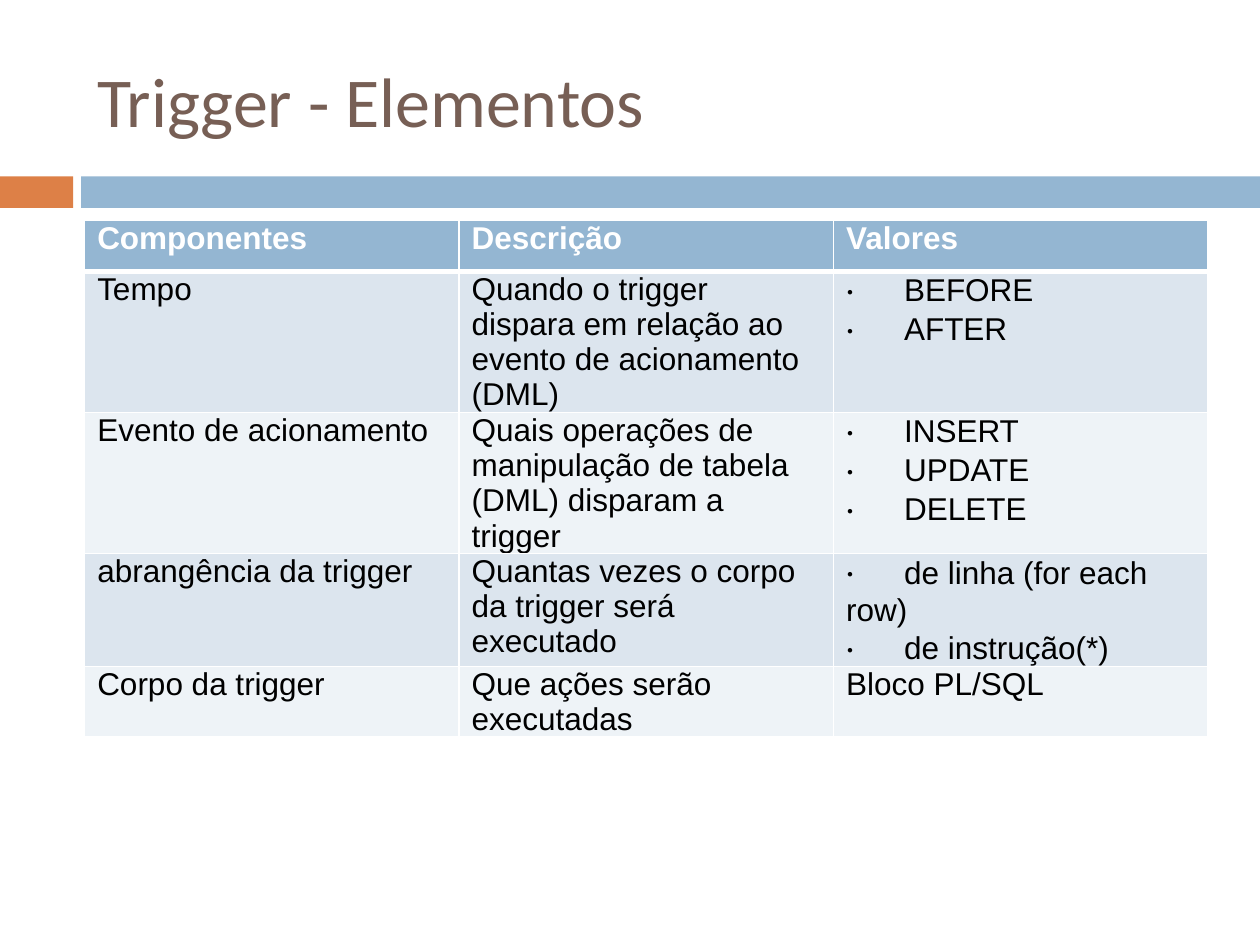
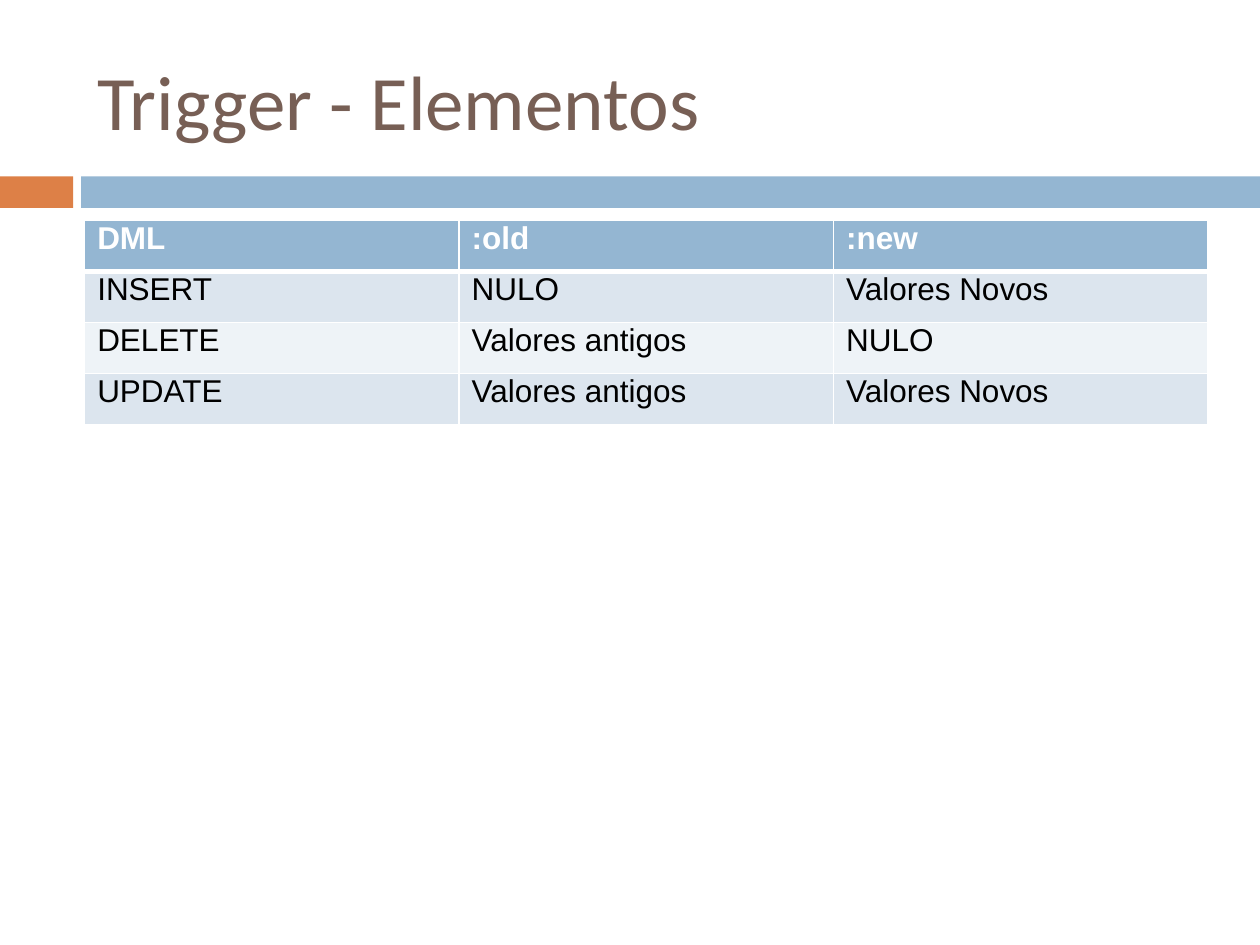
"""Build two slides that tabulate the elements of a database trigger."""
from lxml import etree
from pptx import Presentation
from pptx import util as u
from pptx.dml.color import RGBColor
from pptx.enum import shapes, text
from pptx.oxml import ns

COLUMNS, ROWS = 100, 75
LEFT, WIDTH = 6.72, 89.15
BAND_TOP, BAND_HEIGHT = 14, 2.5
BLUE_BAND_LEFT = 6.45
TABLE_TOP, ROW_HEIGHT = 17.5, 4.05
BULLET_TAB = u.Inches(0.46)
WHITE, BLACK, BROWN = "FFFFFF", "000000", "775F55"
BLUE, ORANGE = "94B6D2", "DD8047"
STRIPES = ("DCE5EE", "EEF3F7")

ELEMENTS = [
    ("Componentes", "Descrição", "Valores"),
    ("Tempo", "Quando o trigger dispara em relação ao evento de acionamento (DML)",
     ["BEFORE", "AFTER"]),
    ("Evento de acionamento",
     "Quais operações de manipulação de tabela (DML) disparam a trigger",
     ["INSERT", "UPDATE", "DELETE"]),
    ("abrangência da trigger", "Quantas vezes o corpo da trigger será executado",
     ["de linha (for each row)", "de instrução(*)"]),
    ("Corpo da trigger", "Que ações serão executadas", "Bloco PL/SQL"),
]
ROW_VALUES = [
    ("DML", ":old", ":new"),
    ("INSERT", "NULO", "Valores Novos"),
    ("DELETE", "Valores antigos", "NULO"),
    ("UPDATE", "Valores antigos", "Valores Novos"),
]


def paint(target, color):
    target.solid()
    target.fore_color.rgb = RGBColor.from_string(color)


def add_element(parent, tag, **attributes):
    values = {name: str(value) for name, value in attributes.items()}
    return etree.SubElement(parent, ns.qn(tag), values)


def add_bullet(paragraph):
    properties = paragraph._p.get_or_add_pPr()
    properties.set("marL", "0")
    properties.set("indent", "0")
    add_element(properties, "a:buFont", typeface="Calibri")
    add_element(properties, "a:buChar", char="·")
    add_element(add_element(properties, "a:tabLst"), "a:tab", pos=BULLET_TAB, algn="l")
    paragraph.line_spacing = 1.05


def write(paragraph, words, size=18, font="Arial", color=BLACK, bold=False, bullet=False):
    if bullet:
        add_bullet(paragraph)
    run = paragraph.add_run()
    run.text = f"\t{words}" if bullet else words
    run.font.size = u.Pt(size)
    run.font.name = font
    run.font.bold = bold
    run.font.color.rgb = RGBColor.from_string(color)


class Deck:
    """Holds the shared style and the current slide."""

    def __init__(self):
        self.presentation = Presentation()
        self.presentation.slide_width = u.Inches(10)
        self.presentation.slide_height = u.Inches(7.5)
        self.layout = self.presentation.slide_layouts.get_by_name("Title Only")
        self.slide = None

    def box(self, left, top, width, height):
        column = self.presentation.slide_width / COLUMNS
        row = self.presentation.slide_height / ROWS
        return [u.Emu(round(share)) for share in
                (left * column, top * row, width * column, height * row)]

    def add_slide(self, title, size):
        self.slide = self.presentation.slides.add_slide(self.layout)
        shape = self.slide.shapes.title
        shape.left, shape.top, shape.width, shape.height = self.box(LEFT, 2.5, WIDTH, 10.8)
        frame = shape.text_frame
        frame.auto_size = text.MSO_AUTO_SIZE.NONE
        frame.vertical_anchor = text.MSO_ANCHOR.MIDDLE
        paragraph = frame.paragraphs[0]
        paragraph.alignment = text.PP_ALIGN.LEFT
        write(paragraph, title, size=size, font="Calibri", color=BROWN)

    def add_layout_band(self, left, width, color):
        shape = self.slide.shapes.add_shape(
            shapes.MSO_SHAPE.RECTANGLE, *self.box(left, BAND_TOP, width, BAND_HEIGHT))
        shape.shadow.inherit = False
        paint(shape.fill, color)
        shape.line.fill.background()
        tree = self.layout.shapes.element
        shape.element.nvSpPr.cNvPr.id = 20 + len(tree)
        tree.append(shape.element)

    def add_table(self, rows):
        frame = self.slide.shapes.add_table(
            len(rows), len(rows[0]),
            *self.box(LEFT, TABLE_TOP, WIDTH, ROW_HEIGHT * len(rows)))
        for row_index, row in enumerate(rows):
            for column_index, content in enumerate(row):
                cell = frame.table.cell(row_index, column_index)
                self.fill_cell(cell, content, row_index)

    def fill_cell(self, cell, content, row_index):
        header = row_index == 0
        cell.margin_left, cell.margin_right = u.Inches(0.1), u.Inches(0.12)
        cell.margin_top = cell.margin_bottom = 0
        bulleted = isinstance(content, list)
        for index, words in enumerate(content if bulleted else [content]):
            frame = cell.text_frame
            paragraph = frame.add_paragraph() if index else frame.paragraphs[0]
            write(paragraph, words, color=WHITE if header else BLACK,
                  bold=header, bullet=bulleted)
            if index:
                paragraph.space_before = u.Pt(1)
        self.add_borders(cell, top=3 if row_index == 1 else 1, bottom=3 if header else 1)
        paint(cell.fill, BLUE if header else STRIPES[(row_index - 1) % 2])

    def add_borders(self, cell, top, bottom):
        properties = cell._tc.get_or_add_tcPr()
        for side, points in (("L", 1), ("R", 1), ("T", top), ("B", bottom)):
            line = add_element(properties, f"a:ln{side}", w=u.Pt(points))
            add_element(add_element(line, "a:solidFill"), "a:srgbClr", val=WHITE)


def main():
    deck = Deck()
    deck.add_slide("Trigger - Elementos", size=40)
    deck.add_layout_band(0, 5.8, ORANGE)
    deck.add_layout_band(BLUE_BAND_LEFT, COLUMNS - BLUE_BAND_LEFT, BLUE)
    deck.add_table(ELEMENTS)
    deck.add_slide("Trigger - Elementos", size=44)
    deck.add_table(ROW_VALUES)
    deck.presentation.save("out.pptx")


if __name__ == "__main__":
    main()
